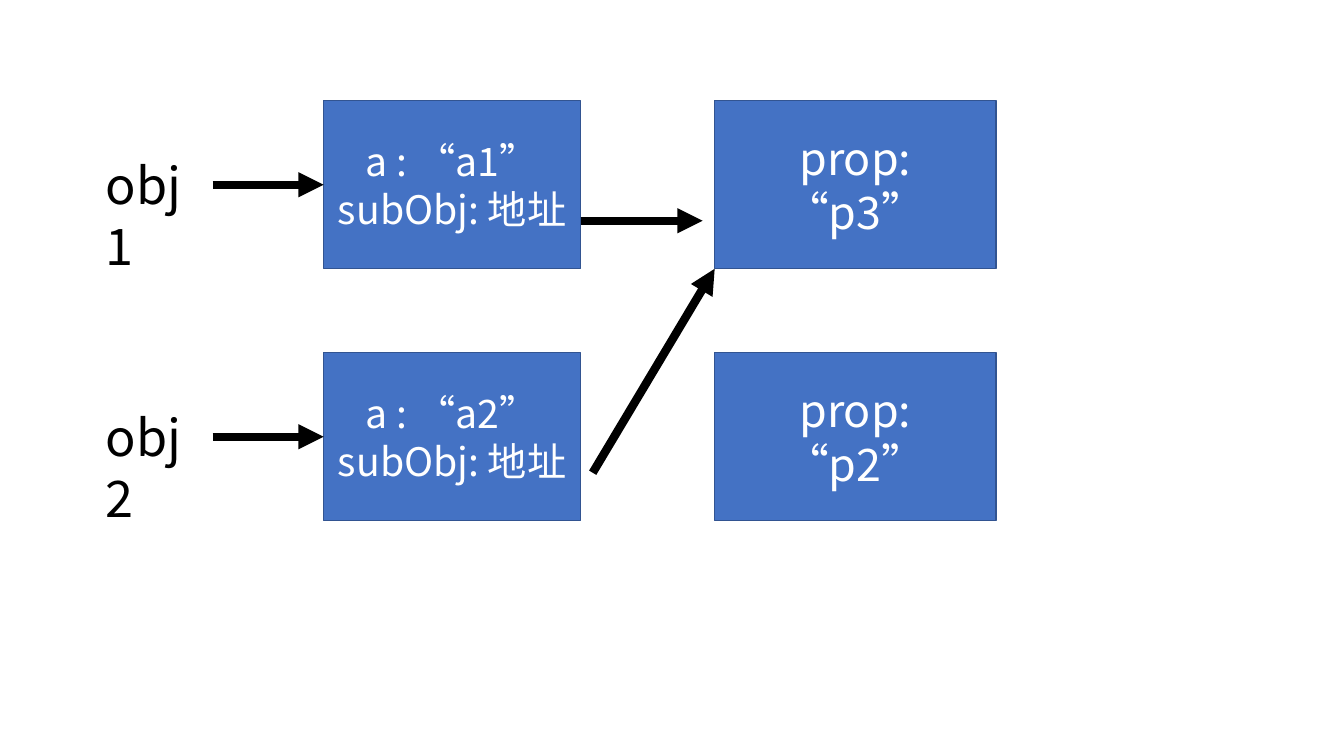
"""Draw two objects whose subObj fields point to one shared property box."""
from pptx import Presentation
from pptx import util as u
from pptx.dml.color import RGBColor
from pptx.enum import shapes, text
from pptx.oxml import parse_xml
from pptx.oxml.ns import nsdecls

BLUE = RGBColor(0x44, 0x72, 0xC4)
EDGE = RGBColor(0x32, 0x54, 0x91)
WHITE = RGBColor(255, 255, 255)
BLACK = RGBColor(0, 0, 0)
FONT = "Noto Sans CJK SC"
COLS, ROWS = 80, 45


class Board:
    """Holds the slide and its style."""

    def __init__(self, deck):
        """Add a blank slide and measure its grid."""
        self.items = deck.slides.add_slide(deck.slide_layouts[6]).shapes
        self.col = deck.slide_width / COLS
        self.row = deck.slide_height / ROWS

    def place(self, *spots):
        """Turn column and row pairs into lengths."""
        return [u.Emu(round(n * (self.row if i % 2 else self.col)))
                for i, n in enumerate(spots)]

    def letter(self, shape, lines, size, color, align, **frame):
        """Fill a shape with one paragraph per line."""
        body = shape.text_frame
        body.text = "\n".join(lines)
        for key, val in dict(word_wrap=True, **frame).items():
            setattr(body, key, val)
        for par in body.paragraphs:
            par.alignment = align
            font = par.runs[0].font
            for key, val in dict(name=FONT, size=u.Pt(size)).items():
                setattr(font, key, val)
            font.color.rgb = color
            font._element.append(parse_xml(
                f'<a:ea {nsdecls("a")} typeface="{FONT}"/>'))

    def box(self, x, y, wide, lines, size):
        """Draw a blue box with centred text."""
        shape = self.items.add_shape(
            shapes.MSO_SHAPE.RECTANGLE, *self.place(x, y, wide, 10))
        shape.shadow.inherit = False
        shape.fill.solid()
        shape.fill.fore_color.rgb = BLUE
        shape.line.color.rgb = EDGE
        shape.line.width = u.Pt(1)
        self.letter(shape, lines, size, WHITE, text.PP_ALIGN.CENTER,
                    vertical_anchor=text.MSO_ANCHOR.MIDDLE)

    def label(self, x, y, word):
        """Add the name of an object."""
        shape = self.items.add_textbox(*self.place(x, y, 6.96, 4.26))
        self.letter(shape, [word], 36, BLACK, text.PP_ALIGN.LEFT,
                    auto_size=text.MSO_AUTO_SIZE.SHAPE_TO_FIT_TEXT)

    def arrow(self, *ends):
        """Draw a thick arrow between two grid points."""
        link = self.items.add_connector(
            shapes.MSO_CONNECTOR.STRAIGHT, *self.place(*ends))
        link.line.color.rgb = BLACK
        link.line.width = u.Pt(6)
        link.line._get_or_add_ln().append(parse_xml(
            f'<a:tailEnd {nsdecls("a")} type="triangle"/>'))
        link._element.spPr.append(parse_xml(
            f'<a:effectLst {nsdecls("a")}/>'))


deck = Presentation()
deck.slide_width, deck.slide_height = u.Inches(13.33), u.Inches(7.5)
board = Board(deck)
NAME, OBJ, PROP = 5.7, 19.26, 42.54
for num, prop, top in ((1, "p3", 6), (2, "p2", 21)):
    board.box(OBJ, top, 15.3, [f"a : “a{num}”", "subObj: 地址"], 28)
    board.label(NAME, top + 2.88, f"obj{num}")
    board.box(PROP, top, 16.74, [f"prop: “{prop}”"], 32)
    board.arrow(12.66, top + 5, OBJ, top + 5)
board.arrow(34.56, 13.14, 41.82, 13.14)
board.arrow(35.28, 28.14, PROP, 16)
deck.save("out.pptx")
